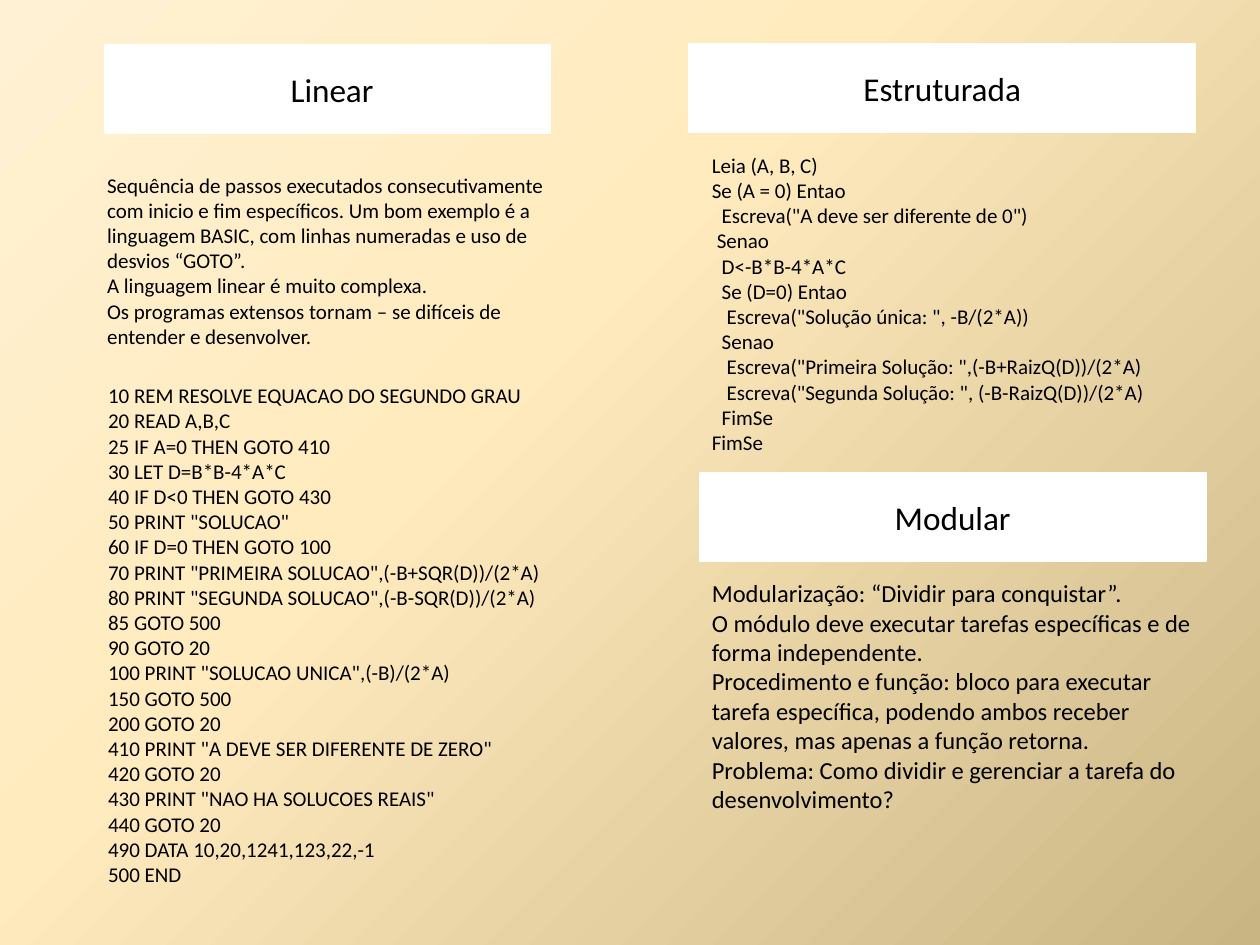
from pptx import Presentation
from pptx.dml.color import RGBColor as Rgb
from pptx.enum.shapes import MSO_SHAPE as Kind
from pptx.enum.text import MSO_ANCHOR as Anchor, MSO_AUTO_SIZE as Fit, PP_ALIGN as Align
from pptx.oxml import parse_xml
from pptx.oxml.ns import nsdecls, qn
from pptx.util import Cm, Pt

HUES = {"text": "000000", "box": "FFFFFF", "pale": "FFF1D3", "sand": "FFEBBE", "tan": "C9B484"}


def write(shape, lines, size=12, align=Align.LEFT, anchor=Anchor.MIDDLE, foot=0,
          fit=Fit.SHAPE_TO_FIT_TEXT, wrap=True, before=0, dents=()):
    frame = shape.text_frame
    frame.text = "\n".join(lines)
    frame.word_wrap = wrap
    frame.auto_size = fit
    frame.vertical_anchor = anchor
    frame.margin_bottom = Cm(foot)
    for para in frame.paragraphs:
        para.alignment = align
        para.space_before = Pt(before)
        font = para.runs[0].font
        font.name = "Calibri"
        font.size = Pt(size)
        font.color.rgb = Rgb.from_string(HUES["text"])
    for para, dent in zip(frame.paragraphs, dents):
        props = para._p.get_or_add_pPr()
        props.set("marL", str(Cm(dent)))
        props.set("indent", "0")


deck = Presentation()
deck.slide_width = Cm(25.4)
deck.slide_height = Cm(19.05)
slide = deck.slides.add_slide(deck.slide_layouts[6])

slide.background.fill.solid()
back = slide.element.find(".//" + qn("p:bgPr"))
stops = "".join(
    f'<a:gs pos="{pos * 1000}"><a:srgbClr val="{HUES[name]}"/></a:gs>'
    for pos, name in ((0, "pale"), (40, "sand"), (100, "tan"))
)
back.replace(back[0], parse_xml(
    f'<a:gradFill {nsdecls("a")} rotWithShape="1"><a:gsLst>{stops}</a:gsLst>'
    '<a:path path="circle"><a:fillToRect l="-24000" t="-20000" r="124000" b="120000"/></a:path>'
    '</a:gradFill>'
))

heads = [
    ("Estruturada", 13.89, 0.89, 10.21, 0),
    ("Linear", 2.11, 0.91, 8.99, 0.18),
    ("Modular", 14.1, 9.53, 10.21, 0),
]
for title, left, top, width, dent in heads:
    box = slide.shapes.add_shape(Kind.RECTANGLE, Cm(left), Cm(top), Cm(width), Cm(1.78))
    box.shadow.inherit = False
    box.fill.solid()
    box.fill.fore_color.rgb = Rgb.from_string(HUES["box"])
    box.line.color.rgb = Rgb.from_string(HUES["box"])
    box.line.width = Pt(0.85)
    write(box, [title], size=19, align=Align.CENTER, foot=0.13, fit=Fit.NONE,
          before=1, dents=[dent])

about = [
    "Sequência de passos executados consecutivamente com inicio e fim específicos. "
    "Um bom exemplo é a linguagem BASIC, com linhas numeradas e uso de desvios “GOTO”.",
    "A linguagem linear é muito complexa.",
    "Os programas extensos tornam – se difíceis de entender e desenvolver.",
]
basic = [
    "10 REM RESOLVE EQUACAO DO SEGUNDO GRAU",
    "20 READ A,B,C",
    "25 IF A=0 THEN GOTO 410",
    "30 LET D=B*B-4*A*C",
    "40 IF D<0 THEN GOTO 430",
    '50 PRINT "SOLUCAO"',
    "60 IF D=0 THEN GOTO 100",
    '70 PRINT "PRIMEIRA SOLUCAO",(-B+SQR(D))/(2*A)',
    '80 PRINT "SEGUNDA SOLUCAO",(-B-SQR(D))/(2*A)',
    "85 GOTO 500",
    "90 GOTO 20",
    '100 PRINT "SOLUCAO UNICA",(-B)/(2*A)',
    "150 GOTO 500",
    "200 GOTO 20",
    '410 PRINT "A DEVE SER DIFERENTE DE ZERO"',
    "420 GOTO 20",
    '430 PRINT "NAO HA SOLUCOES REAIS"',
    "440 GOTO 20",
    "490 DATA 10,20,1241,123,22,-1",
    "500 END",
]
code = [
    (0, "Leia (A, B, C)"),
    (0, "Se (A = 0) Entao"),
    (2, 'Escreva("A deve ser diferente de 0")'),
    (1, "Senao"),
    (2, "D<-B*B-4*A*C"),
    (2, "Se (D=0) Entao"),
    (3, 'Escreva("Solução única: ", -B/(2*A))'),
    (2, "Senao"),
    (3, 'Escreva("Primeira Solução: ",(-B+RaizQ(D))/(2*A)'),
    (3, 'Escreva("Segunda Solução: ", (-B-RaizQ(D))/(2*A)'),
    (2, "FimSe"),
    (0, "FimSe"),
]
parts = [
    "Modularização: “Dividir para conquistar”.",
    "O módulo deve executar tarefas específicas e de forma independente.",
    "Procedimento e função: bloco para executar tarefa específica, "
    "podendo ambos receber valores, mas apenas a função retorna.",
    "Problema: Como dividir e gerenciar a tarefa do desenvolvimento?",
]
texts = [
    (about, (1.91, 3.33, 9.4, 3.71), {}),
    ([line for _, line in code], (14.1, 2.92, 9.4, 6.27),
     {"wrap": False, "dents": [0.1 * step for step, _ in code]}),
    (basic, (1.93, 7.54, 9.75, 10.39), {}),
    (parts, (14.1, 11.53, 10.39, 5.05), {"size": 14, "anchor": Anchor.TOP, "foot": 0.13}),
]
for lines, place, look in texts:
    write(slide.shapes.add_textbox(*map(Cm, place)), lines, **look)

deck.save("out.pptx")
